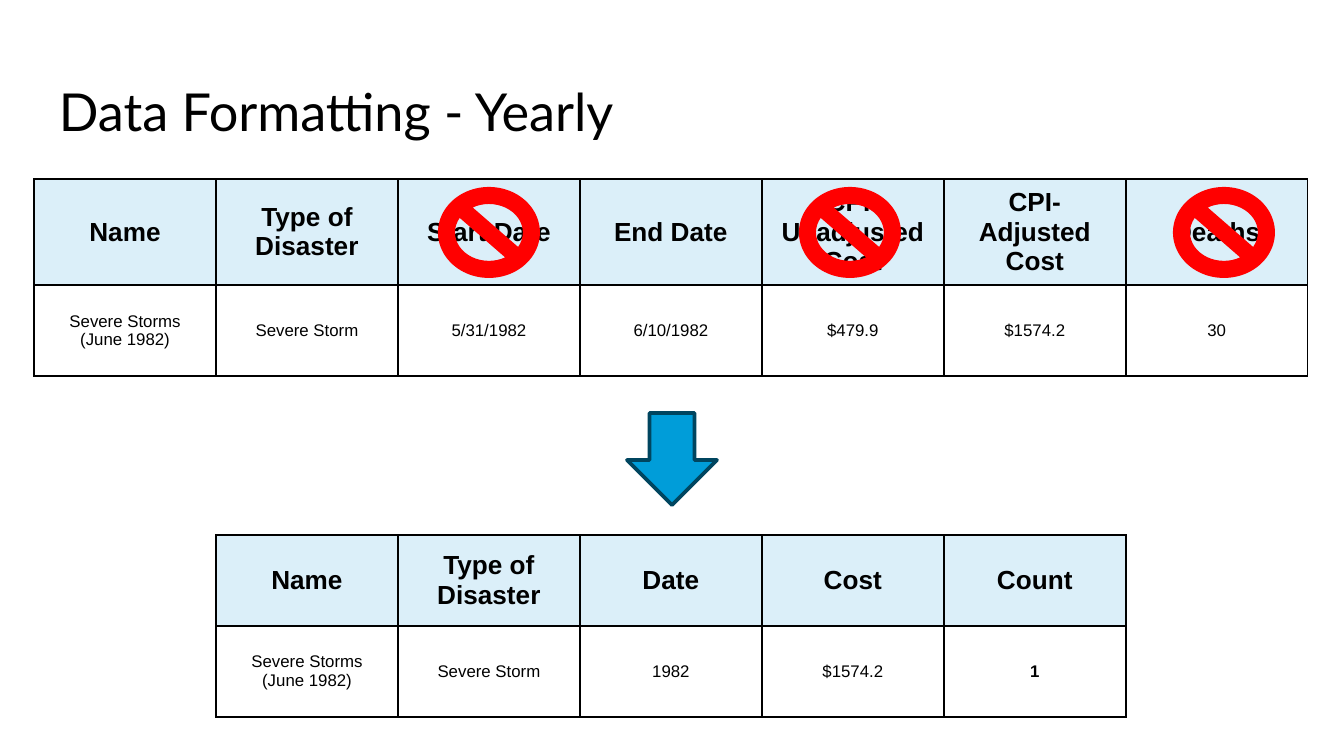
from lxml import etree
from pptx import Presentation
from pptx.dml.color import RGBColor
from pptx.enum.shapes import MSO_SHAPE
from pptx.enum.text import MSO_ANCHOR, PP_ALIGN
from pptx.oxml.ns import qn
from pptx.util import Emu, Pt

PX = 6804
BLANK_LAYOUT = 6
NO_SYMBOL = MSO_SHAPE.NO_SYMBOL
DOWN_ARROW = MSO_SHAPE.DOWN_ARROW
MIDDLE, TOP = MSO_ANCHOR.MIDDLE, MSO_ANCHOR.TOP
CENTER, LEFT = PP_ALIGN.CENTER, PP_ALIGN.LEFT

COLORS = {
    "text": "000000",
    "border": "000000",
    "header": "DBEFF9",
    "removed": "FF0000",
    "arrow": "009DD9",
    "arrow_line": "00455F",
}
COLUMN_WIDTH = 182
ROW_HEIGHT = 91
CELL_MARGIN = 6

RAW_ROWS = [
    ["Name", "Type of Disaster", "Start Date", "End Date",
     "CPI-Unadjusted Cost", "CPI-Adjusted Cost", "Deaths"],
    ["Severe Storms (June 1982)", "Severe Storm", "5/31/1982", "6/10/1982",
     "$479.9", "$1574.2", "30"],
]
YEARLY_ROWS = [
    ["Name", "Type of Disaster", "Date", "Cost", "Count"],
    ["Severe Storms (June 1982)", "Severe Storm", "1982", "$1574.2", "1"],
]


def px(length):
    return Emu(length * PX)


def color(name):
    return RGBColor.from_string(COLORS[name])


def add_text(para, text, font, size, bold=False, align=LEFT):
    para.alignment = align
    span = para.add_run()
    span.text = text
    span.font.name = font
    span.font.size = Pt(size)
    span.font.bold = bold
    span.font.color.rgb = color("text")


def add_title(page, box, text):
    frame = page.shapes.add_textbox(*map(px, box)).text_frame
    frame.word_wrap = True
    frame.vertical_anchor = TOP
    frame.margin_left = frame.margin_right = px(13)
    frame.margin_top = frame.margin_bottom = px(13)
    add_text(frame.paragraphs[0], text, "Lato", 28)


def add_borders(cell):
    properties = cell._tc.get_or_add_tcPr()
    for side in ("a:lnL", "a:lnR", "a:lnT", "a:lnB"):
        line = etree.SubElement(properties, qn(side), w=str(Pt(1)))
        fill = etree.SubElement(line, qn("a:solidFill"))
        etree.SubElement(fill, qn("a:srgbClr"), val=COLORS["border"])


def add_data_table(page, left, top, rows, heights, bold_cells=()):
    columns = len(rows[0])
    box = (left, top, columns * COLUMN_WIDTH, sum(heights))
    table = page.shapes.add_table(len(rows), columns, *map(px, box)).table
    table.first_row = False
    table.horz_banding = False
    for column in table.columns:
        column.width = px(COLUMN_WIDTH)
    for row_index, (texts, height) in enumerate(zip(rows, heights)):
        table.rows[row_index].height = px(height)
        header = row_index == 0
        for column_index, text in enumerate(texts):
            cell = table.cell(row_index, column_index)
            cell.vertical_anchor = MIDDLE
            cell.margin_left = cell.margin_right = px(13)
            cell.margin_top = cell.margin_bottom = px(CELL_MARGIN)
            add_borders(cell)
            if header:
                cell.fill.solid()
                cell.fill.fore_color.rgb = color("header")
            else:
                cell.fill.background()
            bold = header or (row_index, column_index) in bold_cells
            add_text(cell.text_frame.paragraphs[0], text, "Arial",
                     14 if header else 9, bold, CENTER)


def add_symbol(page, kind, box, fill, outline=None):
    symbol = page.shapes.add_shape(kind, *map(px, box))
    symbol.shadow.inherit = False
    symbol.fill.solid()
    symbol.fill.fore_color.rgb = color(fill)
    if outline:
        symbol.line.color.rgb = color(outline)
        symbol.line.width = Pt(2)
    else:
        symbol.line.fill.background()


def build_formatting_slide(deck):
    page = deck.slides.add_slide(deck.slide_layouts[BLANK_LAYOUT])
    add_title(page, (46, 66, 1252, 172), "Data Formatting - Yearly")
    add_data_table(page, 34, 179, RAW_ROWS, (102, ROW_HEIGHT))
    for left in (799, 1173, 438):
        add_symbol(page, NO_SYMBOL, (left, 187, 102, 91), "removed")
    add_symbol(page, DOWN_ARROW, (627, 413, 90, 92), "arrow", "arrow_line")
    add_data_table(page, 34 + COLUMN_WIDTH, 535, YEARLY_ROWS,
                   (ROW_HEIGHT, ROW_HEIGHT), {(1, 4)})


def main():
    deck = Presentation()
    deck.slide_width = px(1344)
    deck.slide_height = px(756)
    build_formatting_slide(deck)
    deck.save("out.pptx")


if __name__ == "__main__":
    main()
